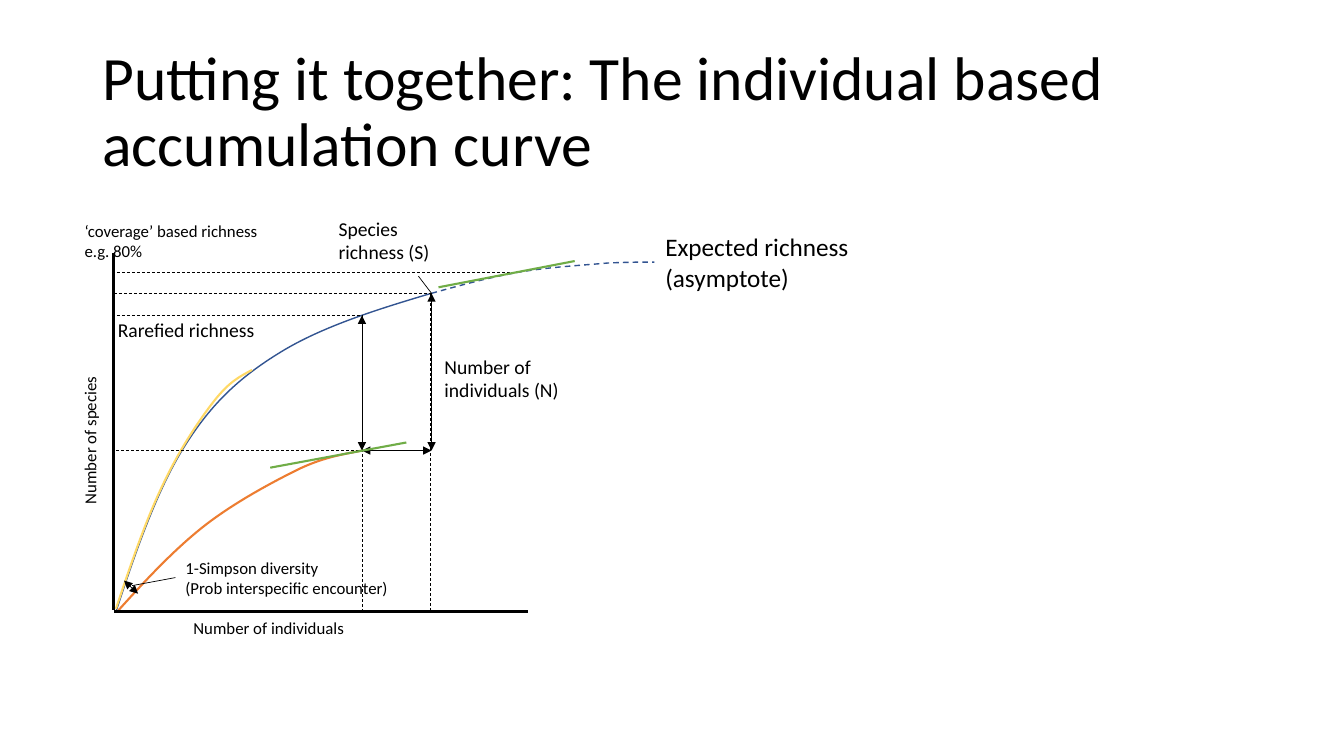
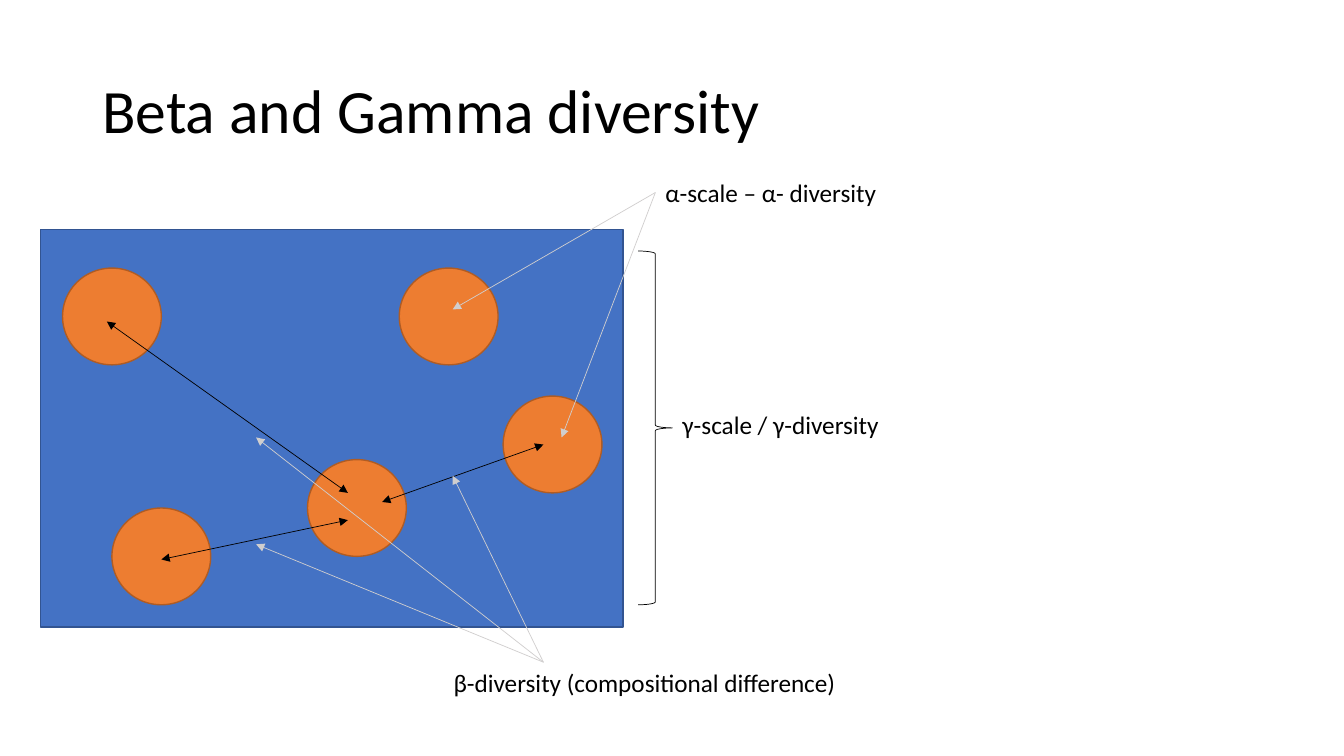
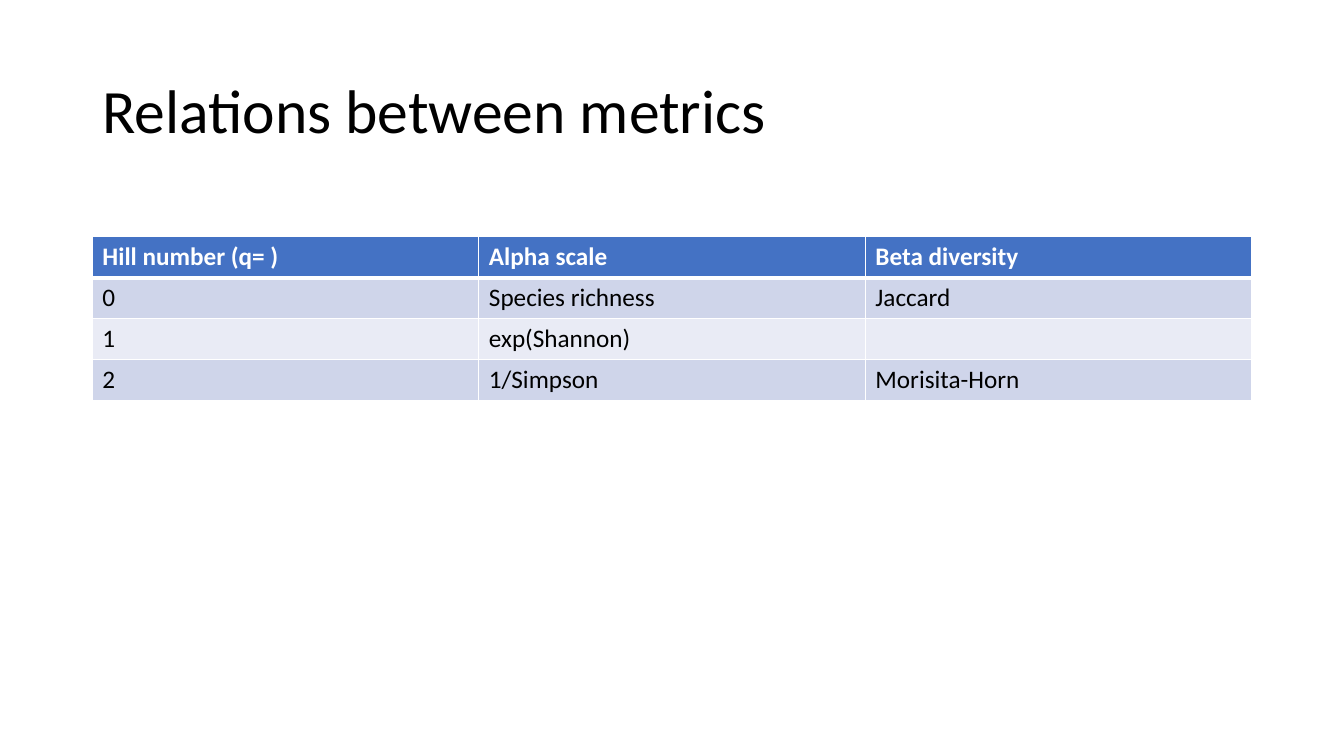
from lxml.etree import SubElement
from pptx import Presentation
from pptx.dml.color import RGBColor
from pptx.enum.dml import MSO_LINE
from pptx.enum.shapes import MSO_CONNECTOR, MSO_SHAPE
from pptx.enum.text import MSO_ANCHOR, MSO_AUTO_SIZE
from pptx.oxml.ns import qn
from pptx.util import Inches, Pt

BLACK = RGBColor(0x00, 0x00, 0x00)
WHITE = RGBColor(0xFF, 0xFF, 0xFF)
BLUE = RGBColor(0x44, 0x72, 0xC4)
NAVY = RGBColor(0x32, 0x54, 0x91)
ORANGE = RGBColor(0xED, 0x7D, 0x31)
BROWN = RGBColor(0xAF, 0x5C, 0x24)
GREEN = RGBColor(0x70, 0xAD, 0x47)
YELLOW = RGBColor(0xFF, 0xD9, 0x66)
GREY = RGBColor(0xD0, 0xCE, 0xCE)
BAND_DARK = RGBColor(0xCF, 0xD5, 0xEA)
BAND_LIGHT = RGBColor(0xE9, 0xEB, 0xF5)


def add_text(s, text, box, size, fill=None):
    sp = s.shapes.add_textbox(*[Inches(v) for v in box])
    if fill is not None:
        sp.fill.solid()
        sp.fill.fore_color.rgb = fill
    tf = sp.text_frame
    tf.word_wrap = True
    tf.auto_size = MSO_AUTO_SIZE.SHAPE_TO_FIT_TEXT
    tf.text = text
    for p in tf.paragraphs:
        for r in p.runs:
            for name, value in {"name": "Calibri", "size": Pt(size)}.items():
                setattr(r.font, name, value)
            r.font.color.rgb = BLACK
        for br in p._p.findall(qn("a:br")):
            SubElement(br, qn("a:rPr"), sz=str(size * 100))
    return sp


def add_line(s, start, end, color=BLACK, width=0.5, dash=None, ends=()):
    sp = s.shapes.add_connector(MSO_CONNECTOR.STRAIGHT, *[Inches(v) for v in start + end])
    sp.line.color.rgb = color
    sp.line.width = Pt(width)
    if dash:
        sp.line.dash_style = dash
    spPr = sp.element.spPr
    for end_name in ends:
        SubElement(spPr.find(qn("a:ln")), qn("a:" + end_name), type="triangle")
    SubElement(spPr, qn("a:effectLst"))


prs = Presentation()
prs.slide_width = Inches(13.33)
prs.slide_height = Inches(7.5)

LEFT = 11 / 12
slides = []
for title in [
    "Putting it together: The individual based accumulation curve",
    "Beta and Gamma diversity",
    "Relations between metrics",
]:
    s = prs.slides.add_slide(prs.slide_layouts[6])
    sp = add_text(s, title, (LEFT, 0.4, 11.5, 1.45), 44)
    tf = sp.text_frame
    tf.auto_size = MSO_AUTO_SIZE.NONE
    tf.vertical_anchor = MSO_ANCHOR.MIDDLE
    tf.paragraphs[0].line_spacing = 0.9
    slides.append(s)
curve_slide, scale_slide, table_slide = slides

BOTH = ("headEnd", "tailEnd")
TAIL = ("tailEnd",)
DASH = MSO_LINE.DASH

s = curve_slide
for text, box, size in [
    ("Species richness (S)", (3.26, 2.1, 1.11, 0.57), 14),
    ("Expected richness (asymptote)", (6.5, 2.25, 2.2, 0.71), 18),
    ("1-Simpson diversity\v(Prob interspecific encounter)", (1.74, 5.48, 3.31, 0.5), 12),
    ("Rarefied richness", (1.07, 3.11, 1.56, 0.34), 14),
    ("Number of individuals (N)", (4.31, 3.47, 1.43, 0.57), 14),
]:
    add_text(s, text, box, size, WHITE)

for color, width, dash, points in [
    (NAVY, 1, None, [(1.15, 6.07), (1.35, 5.46), (1.56, 4.86), (1.83, 4.43), (2.1, 4),
                     (2.38, 3.74), (2.79, 3.49), (3.2, 3.24), (3.74, 3.07), (4.28, 2.91)]),
    (ORANGE, 1.5, None, [(1.17, 6.06), (1.44, 5.76), (1.72, 5.46), (2.01, 5.23), (2.3, 5),
                         (2.67, 4.8), (2.93, 4.67), (3.19, 4.54), (3.39, 4.51), (3.59, 4.47)]),
    (NAVY, 1, DASH, [(4.28, 2.91), (4.57, 2.83), (4.86, 2.75), (5.15, 2.7), (5.44, 2.65),
                     (5.8, 2.63), (6.02, 2.61), (6.24, 2.6), (6.36, 2.6), (6.49, 2.6)]),
    (YELLOW, 1.5, None, [(1.15, 6.04), (1.3, 5.59), (1.45, 5.15), (1.62, 4.8), (1.78, 4.46),
                         (1.98, 4.16), (2.13, 3.97), (2.28, 3.78), (2.39, 3.73), (2.5, 3.67)]),
]:
    corners = [[Inches(v) for v in point] for point in points]
    builder = s.shapes.build_freeform(*corners[0])
    builder.add_line_segments(corners[1:], close=False)
    sp = builder.convert_to_shape()
    segments = list(sp.element.iter(qn("a:lnTo")))
    outline = segments[0].getparent()
    for i in range(0, len(segments), 3):
        curve = SubElement(outline, qn("a:cubicBezTo"))
        for segment in segments[i:i + 3]:
            curve.append(segment[0])
            outline.remove(segment)
    sp.shadow.inherit = False
    sp.fill.background()
    sp.line.color.rgb = color
    sp.line.width = Pt(width)
    if dash:
        sp.line.dash_style = dash

for start, end in [
    ((3.59, 6.07), (3.59, 3.13)),
    ((1.11, 3.13), (3.59, 3.13)),
    ((4.27, 6.06), (4.27, 2.91)),
    ((1.13, 2.91), (4.28, 2.91)),
    ((1.11, 2.7), (5.1, 2.7)),
    ((1.15, 4.47), (3.59, 4.47)),
]:
    add_line(s, start, end, dash=DASH)

for start, end in [((4.28, 2.91), (4.15, 2.74)), ((1.74, 5.73), (1.31, 5.81))]:
    add_line(s, start, end)

for start, end in [((1.13, 6.07), (5.24, 6.07)), ((1.13, 2.51), (1.13, 6.05))]:
    add_line(s, start, end, width=2.25)

for start, end in [
    ((4.28, 2.91), (4.28, 4.47)),
    ((3.59, 4.47), (4.28, 4.47)),
    ((1.23, 5.76), (1.37, 5.89)),
    ((3.59, 4.47), (3.59, 3.13)),
]:
    add_line(s, start, end, ends=BOTH)

for start, end in [((4.35, 2.85), (5.7, 2.59)), ((2.68, 4.64), (4.03, 4.39))]:
    add_line(s, start, end, GREEN, 1.5)

add_text(s, "Number of individuals", (1.82, 6.08, 2.97, 0.3), 12)
add_text(s, "Number of species", (-0.17, 3.89, 2.12, 0.3), 12).rotation = 270
add_text(s, "‘coverage’ based richness\ne.g. 80%", (0.74, 2.14, 2.1, 0.5), 12)

s = scale_slide
plots = [(0.62, 2.66), (3.05, 4.56), (1.11, 5.04), (3.96, 2.66), (4.99, 3.93)]
shapes = [(MSO_SHAPE.RECTANGLE, (0.4, 2.28, 5.78, 3.94), BLUE, NAVY, 1)]
shapes += [(MSO_SHAPE.OVAL, plot + (0.98, 0.96), ORANGE, BROWN, 1) for plot in plots]
shapes.append((MSO_SHAPE.RIGHT_BRACE, (6.33, 2.49, 0.34, 3.51), None, BLACK, 0.5))
for kind, box, fill, outline, width in shapes:
    sp = s.shapes.add_shape(kind, *[Inches(v) for v in box])
    sp.shadow.inherit = False
    if fill is None:
        sp.fill.background()
    else:
        sp.fill.solid()
        sp.fill.fore_color.rgb = fill
    sp.line.color.rgb = outline
    sp.line.width = Pt(width)

for start, end in [
    ((3.79, 4.98), (5.39, 4.41)),
    ((1.06, 3.19), (3.45, 4.89)),
    ((1.6, 5.55), (3.45, 5.16)),
]:
    add_line(s, start, end, ends=BOTH)

for start, targets in [
    ((6.5, 1.91), [(4.49, 3.07), (5.57, 4.34)]),
    ((5.39, 6.57), [(4.49, 4.72), (2.54, 5.4), (2.54, 4.34)]),
]:
    for end in targets:
        add_line(s, start, end, GREY, ends=TAIL)

for text, box in [
    ("α-scale – α- diversity", (6.5, 1.71, 2.92, 0.4)),
    ("γ-scale / γ-diversity", (6.67, 4.01, 3.48, 0.4)),
    ("β-diversity (compositional difference)", (4.4, 6.57, 4.53, 0.4)),
]:
    add_text(s, text, box, 18)

rows = [
    ("Hill number (q= )", "Alpha scale", "Beta diversity"),
    ("0", "Species richness", "Jaccard"),
    ("1", "exp(Shannon)", ""),
    ("2", "1/Simpson", "Morisita-Horn"),
]
fills = [BLUE, BAND_DARK, BAND_LIGHT, BAND_DARK]
table = table_slide.shapes.add_table(
    len(rows), 3, Inches(LEFT), Inches(2.35), Inches(11.5), Inches(1.62)
).table
for i, row in enumerate(rows):
    header = i == 0
    borders = {"lnL": 1, "lnR": 1, "lnT": 3 if i == 1 else 1, "lnB": 3 if header else 1}
    for j, text in enumerate(row):
        cell = table.cell(i, j)
        tcPr = cell._tc.get_or_add_tcPr()
        for side, width in borders.items():
            ln = SubElement(tcPr, qn("a:" + side), w=str(Pt(width)))
            SubElement(SubElement(ln, qn("a:solidFill")), qn("a:srgbClr"), val=str(WHITE))
        cell.fill.solid()
        cell.fill.fore_color.rgb = fills[i]
        if text:
            r = cell.text_frame.paragraphs[0].add_run()
            r.text = text
            for name, value in {"name": "Calibri", "size": Pt(18), "bold": header}.items():
                setattr(r.font, name, value)
            r.font.color.rgb = WHITE if header else BLACK

prs.save("out.pptx")
